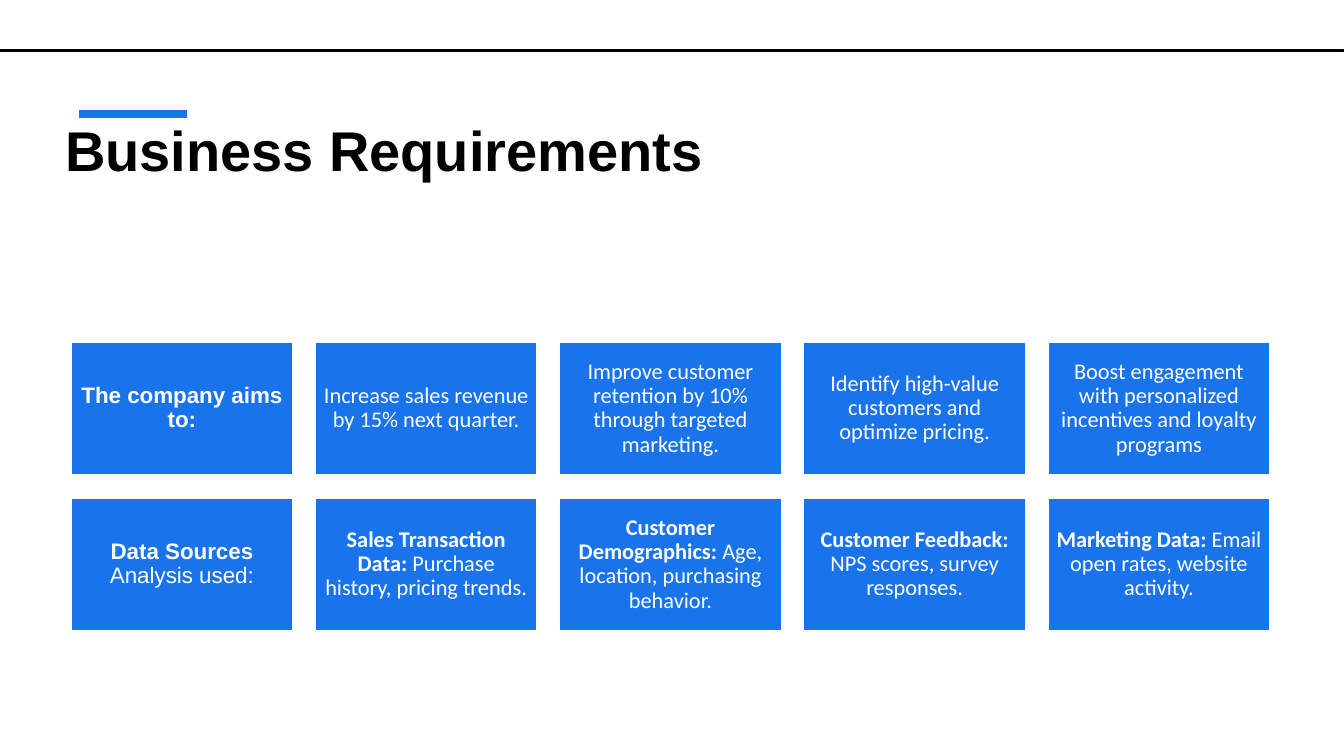
from lxml import etree
from pptx import Presentation
from pptx.dml.color import RGBColor
from pptx.enum.shapes import MSO_CONNECTOR, MSO_SHAPE
from pptx.enum.text import MSO_ANCHOR, PP_ALIGN
from pptx.oxml.ns import qn
from pptx.util import Pt

RECTANGLE = MSO_SHAPE.RECTANGLE
STRAIGHT = MSO_CONNECTOR.STRAIGHT
TOP, MIDDLE = MSO_ANCHOR.TOP, MSO_ANCHOR.MIDDLE
LEFT, CENTER = PP_ALIGN.LEFT, PP_ALIGN.CENTER

EMU_PER_PX = 914400 / 100.8
SLIDE_WIDTH, SLIDE_HEIGHT = 1344, 756
COLORS = {"blue": "1973EB", "black": "000000", "white": "FFFFFF"}

GRID_LEFT, GRID_RIGHT, GRID_TOP = 71, 1270, 342
CARD_WIDTH, CARD_HEIGHT, ROW_GAP = 222, 133, 23

CARD_ROWS = [
    [
        ("The company aims to:", ""),
        ("", "Increase sales revenue by 15% next quarter."),
        ("", "Improve customer retention by 10% through targeted marketing."),
        ("", "Identify high-value customers and optimize pricing."),
        ("", "Boost engagement with personalized incentives and loyalty programs"),
    ],
    [
        ("Data Sources", " Analysis used:"),
        ("Sales Transaction Data:", " Purchase history, pricing trends."),
        ("Customer Demographics:", " Age, location, purchasing behavior."),
        ("Customer Feedback:", " NPS scores, survey responses."),
        ("Marketing Data:", " Email open rates, website activity."),
    ],
]


def px(value):
    """Convert pixels to EMU."""
    return round(value * EMU_PER_PX)


def color(name):
    """Return a named colour."""
    return RGBColor.from_string(COLORS[name])


def apply_format(target, values):
    """Set each attribute named in a dict of format values."""
    for name, value in values.items():
        setattr(target, name, value)


def set_frame(text_frame, anchor, left, top, right, bottom):
    """Set wrapping, anchor and insets of a text frame."""
    apply_format(text_frame, {
        "word_wrap": True,
        "vertical_anchor": anchor,
        "margin_left": px(left),
        "margin_top": px(top),
        "margin_right": px(right),
        "margin_bottom": px(bottom),
    })


def add_run(paragraph, text, font_name, size, color_name, bold):
    """Add a formatted run to a paragraph."""
    run = paragraph.add_run()
    run.text = text
    apply_format(run.font, {"name": font_name, "size": Pt(size), "bold": bold})
    run.font.color.rgb = color(color_name)


def add_rectangle(slide, left, top, width, height, fill, line, line_width):
    """Add a filled and outlined rectangle."""
    shape = slide.shapes.add_shape(
        RECTANGLE, px(left), px(top), px(width), px(height))
    shape.shadow.inherit = False
    shape.fill.solid()
    shape.fill.fore_color.rgb = color(fill)
    shape.line.color.rgb = color(line)
    shape.line.width = Pt(line_width)
    return shape


def add_accent(slide, left, right, y):
    """Add the thick blue line above the title."""
    connector = slide.shapes.add_connector(
        STRAIGHT, px(left), px(y), px(right), px(y))
    connector.line.color.rgb = color("blue")
    connector.line.width = Pt(6)
    etree.SubElement(connector._element.spPr, qn("a:effectLst"))


def add_title(slide, text):
    """Add the slide title."""
    box = slide.shapes.add_textbox(px(59), px(104), px(1201), px(121))
    set_frame(box.text_frame, TOP, 6, 12, 6, 5)
    paragraph = box.text_frame.paragraphs[0]
    paragraph.alignment = LEFT
    add_run(paragraph, text, "Arial", 40, "black", True)


def add_card(slide, left, top, heading, body, font_name):
    """Add a blue card with a bold heading and plain body text."""
    card = add_rectangle(
        slide, left, top, CARD_WIDTH, CARD_HEIGHT, "blue", "white", 1)
    set_frame(card.text_frame, MIDDLE, 7, 7, 7, 7)
    paragraph = card.text_frame.paragraphs[0]
    apply_format(paragraph, {"alignment": CENTER, "line_spacing": 0.9})
    for text, bold in ((heading, True), (body, False)):
        if text:
            add_run(paragraph, text, font_name, 16, "white", bold)


def add_cards(slide, rows):
    """Lay out the cards in an evenly spaced grid."""
    pitch = (GRID_RIGHT - GRID_LEFT - CARD_WIDTH) / (len(rows[0]) - 1)
    for row, cards in enumerate(rows):
        top = GRID_TOP + row * (CARD_HEIGHT + ROW_GAP)
        for column, (heading, body) in enumerate(cards):
            font_name = "Calibri" if column else "Arial"
            add_card(slide, GRID_LEFT + column * pitch, top,
                     heading, body, font_name)


def main():
    """Build and save the slide."""
    presentation = Presentation()
    presentation.slide_width = px(SLIDE_WIDTH)
    presentation.slide_height = px(SLIDE_HEIGHT)
    slide = presentation.slides.add_slide(presentation.slide_layouts[6])
    add_accent(slide, 79, 187, 114)
    add_title(slide, "Business Requirements")
    add_cards(slide, CARD_ROWS)
    add_rectangle(slide, 0, 50, SLIDE_WIDTH, 2, "black", "black", 0.75)
    presentation.save("out.pptx")


if __name__ == "__main__":
    main()
